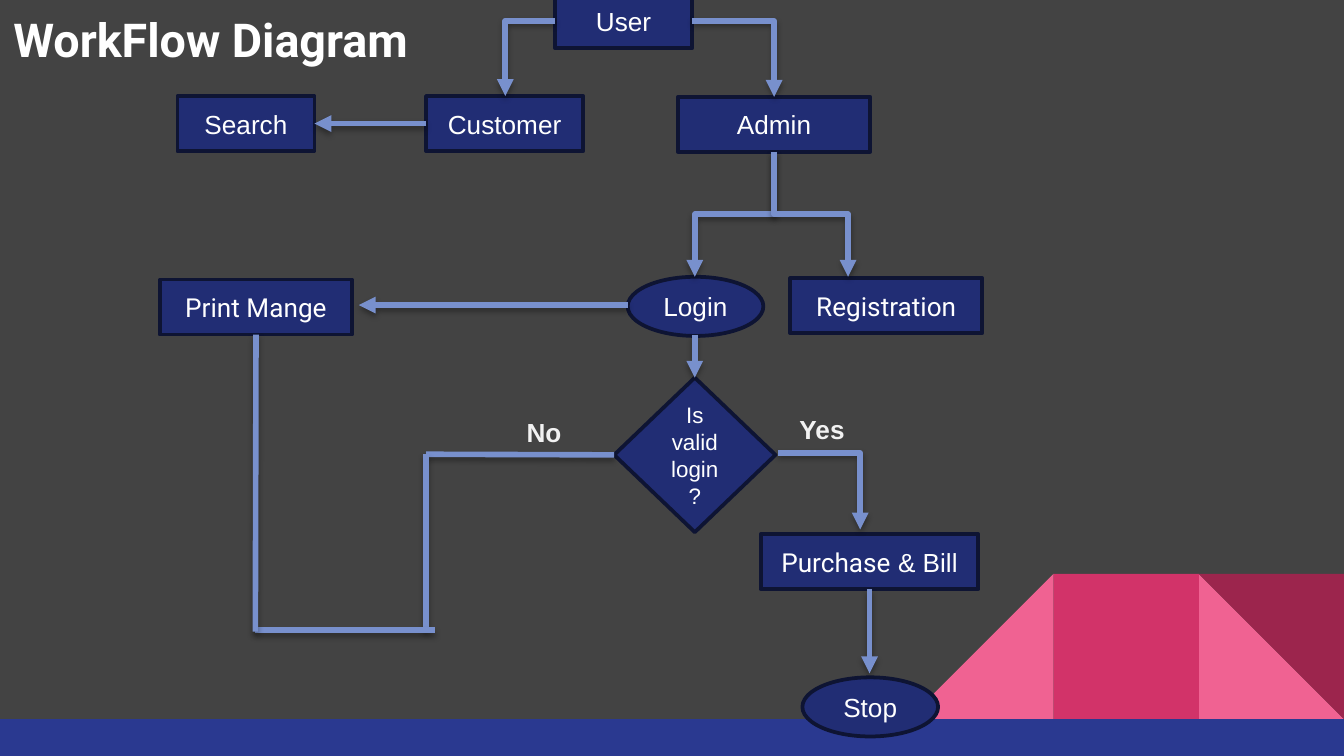
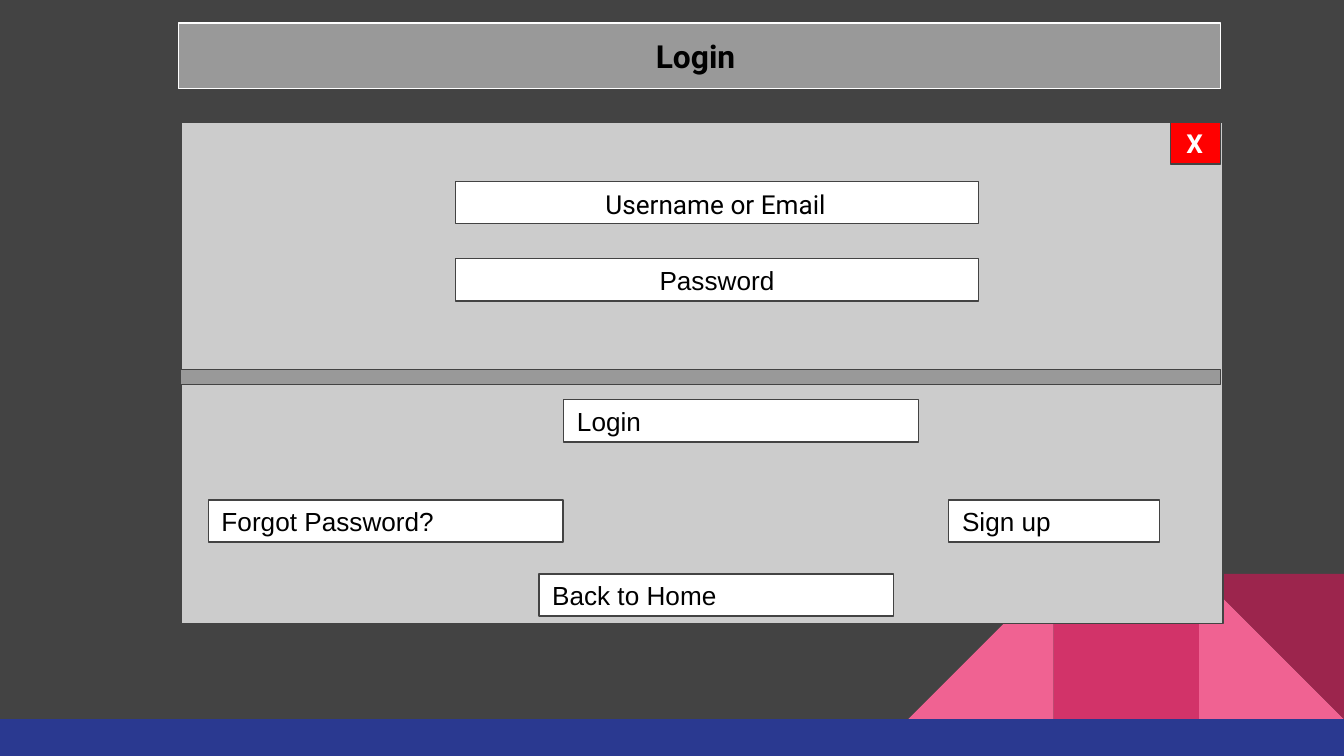
from dataclasses import dataclass

from lxml import etree
from pptx import Presentation
from pptx import util as u
from pptx.dml.color import RGBColor
from pptx.enum import shapes, text
from pptx.oxml.ns import qn

SHAPE = shapes.MSO_SHAPE
ALIGN = text.PP_ALIGN
ANCHOR = text.MSO_ANCHOR
COLUMNS, ROWS = 100, 56.25


@dataclass(frozen=True)
class Theme:
    background: str = "434343"
    band: str = "2A3990"
    pink: str = "F06292"
    rose: str = "D23369"
    wine: str = "9C254D"
    node: str = "212D74"
    node_edge: str = "0E1433"
    flow: str = "7890CD"
    label: str = "F2F2F2"
    white: str = "FFFFFF"
    black: str = "000000"
    panel: str = "CCCCCC"
    bar: str = "999999"
    close: str = "FF0000"
    body_font: str = "Arial"
    title_font: str = "Roboto"
    title_size: int = 25
    heading_size: int = 17
    body_size: int = 14
    small_size: int = 12


class Deck:
    def __init__(self, theme):
        self.theme = theme
        self.presentation = Presentation()
        self.presentation.slide_width = u.Inches(10)
        self.presentation.slide_height = u.Inches(5.625)
        self.slide = None
        fill = self.presentation.slide_master.background.fill
        fill.solid()
        fill.fore_color.rgb = RGBColor.from_string(theme.background)

    def x(self, columns):
        return u.Emu(round(self.presentation.slide_width * columns / COLUMNS))

    def y(self, rows):
        return u.Emu(round(self.presentation.slide_height * rows / ROWS))

    def box(self, left, top, width, height):
        return self.x(left), self.y(top), self.x(width), self.y(height)

    def new_slide(self, title_only=False):
        layout = self.presentation.slide_layouts[5 if title_only else 6]
        self.slide = self.presentation.slides.add_slide(layout)

    def decorate_master(self):
        theme, side, top = self.theme, 10.8, 42.7
        left, middle, right = (COLUMNS - side * n for n in (3, 2, 1))
        parts = [
            self.shape(SHAPE.RIGHT_TRIANGLE, (right, top, side, side), theme.pink),
            self.shape(SHAPE.RIGHT_TRIANGLE, (left, top, side, side), theme.pink),
            self.shape(SHAPE.RECTANGLE, (middle, top, side, side), theme.rose),
            self.shape(SHAPE.RIGHT_TRIANGLE, (right, top, side, side), theme.wine),
            self.shape(SHAPE.RECTANGLE, (0, 53.5, COLUMNS, 2.75), theme.band),
        ]
        parts[1].element.spPr.find(qn("a:xfrm")).set("flipH", "1")
        parts[3].rotation = 180
        for part in parts:
            self.presentation.slide_master.shapes.element.append(part.element)

    def shape(self, kind, box, fill, edge=None, weight=0.75):
        shape = self.slide.shapes.add_shape(kind, *self.box(*box))
        shape.shadow.inherit = False
        shape.fill.solid()
        shape.fill.fore_color.rgb = RGBColor.from_string(fill)
        if edge:
            shape.line.color.rgb = RGBColor.from_string(edge)
            shape.line.width = u.Pt(weight)
        else:
            shape.line.fill.background()
        return shape

    def put_text(self, shape, runs, size, color, align=ALIGN.CENTER,
                 anchor=ANCHOR.MIDDLE, bold=False, inset=None):
        frame = shape.text_frame
        frame.word_wrap = True
        frame.auto_size = text.MSO_AUTO_SIZE.NONE
        frame.vertical_anchor = anchor
        if inset:
            frame.margin_left = frame.margin_right = self.x(inset)
            frame.margin_top = frame.margin_bottom = self.y(inset)
        paragraph = frame.paragraphs[0]
        paragraph.alignment = align
        for words, font in runs:
            run = paragraph.add_run()
            run.text = words
            run.font.name = font
            run.font.size = u.Pt(size)
            run.font.bold = bold
            run.font.color.rgb = RGBColor.from_string(color)

    def title(self, words, box):
        title = self.slide.shapes.title
        title.left, title.top, title.width, title.height = self.box(*box)
        self.put_text(title, [(words, self.theme.title_font)], self.theme.title_size,
                      self.theme.white, ALIGN.LEFT, ANCHOR.TOP, True, 1)

    def label(self, words, box, font=None, color=None, align=ALIGN.LEFT,
              bold=True, inset=None):
        label = self.slide.shapes.add_textbox(*self.box(*box))
        self.put_text(label, [(words, font or self.theme.body_font)],
                      self.theme.body_size, color or self.theme.label,
                      align, ANCHOR.TOP, bold, inset)

    def node(self, runs, box, kind=SHAPE.RECTANGLE, size=None):
        theme = self.theme
        if isinstance(runs, str):
            runs = [(runs, theme.body_font)]
        node = self.shape(kind, box, theme.node, theme.node_edge, 2)
        self.put_text(node, runs, size or theme.body_size, theme.white)
        return node

    def field(self, words, box, align=ALIGN.JUSTIFY):
        field = self.shape(SHAPE.RECTANGLE, box, self.theme.white, self.theme.background)
        if words:
            self.put_text(field, [(words, self.theme.body_font)], self.theme.body_size,
                          self.theme.black, align, inset=1)

    def connector(self, kind, start, end, arrow):
        connector = self.slide.shapes.add_connector(
            kind, self.x(start[0]), self.y(start[1]), self.x(end[0]), self.y(end[1]))
        connector.line.color.rgb = RGBColor.from_string(self.theme.flow)
        connector.line.width = u.Pt(3)
        properties = connector.element.spPr
        if arrow:
            etree.SubElement(properties.find(qn("a:ln")), qn("a:tailEnd"), type="triangle")
        effects = etree.SubElement(properties, qn("a:effectLst"))
        shadow = etree.SubElement(
            effects, qn("a:outerShdw"), blurRad=str(int(u.Pt(3.1))),
            dist=str(int(u.Pt(1.8))), dir="5400000", rotWithShape="0")
        color = etree.SubElement(shadow, qn("a:srgbClr"), val=self.theme.black)
        etree.SubElement(color, qn("a:alpha"), val="35000")
        return connector

    def straight(self, start, end, arrow=True, begin_at=None, end_at=None):
        connector = self.connector(shapes.MSO_CONNECTOR.STRAIGHT, start, end, arrow)
        if begin_at:
            connector.begin_connect(*begin_at)
        if end_at:
            connector.end_connect(*end_at)

    def corner(self, start, end):
        connector = self.connector(shapes.MSO_CONNECTOR.ELBOW, start, end, True)
        connector.element.spPr.find(qn("a:prstGeom")).set("prst", "bentConnector2")

    def branch(self, start, end):
        (x1, y1), (x2, y2) = start, end
        center_x, center_y = (x1 + x2) / 2, (y1 + y2) / 2
        half_run, half_rise = (y2 - y1) / 2, abs(x2 - x1) / 2
        side = 1 if x2 < x1 else -1
        connector = self.connector(
            shapes.MSO_CONNECTOR.ELBOW,
            (center_x - side * half_run, center_y - half_rise),
            (center_x + side * half_run, center_y + half_rise), True)
        turn = 90 if side > 0 else 270
        connector.element.spPr.find(qn("a:xfrm")).set("rot", str(turn * 60000))


def workflow_slide(deck):
    theme = deck.theme
    deck.title("WorkFlow Diagram", (0, -0.2, 36.6, 6.6))

    deck.node("User", (41.3, -0.5, 10.2, 4.1))
    customer = deck.node("Customer", (31.7, 7.15, 11.7, 4.1))
    deck.node("Admin", (50.45, 7.2, 14.3, 4.1))
    search = deck.node("Search", (13.2, 7.15, 10.2, 4.1))
    deck.node("Login", (46.7, 20.6, 10.1, 4.4), SHAPE.OVAL)
    deck.node([("Registration", theme.title_font)], (58.8, 20.7, 14.3, 4.1))
    printing = deck.node([("Print Mange", theme.title_font)], (11.9, 20.8, 14.3, 4.1))
    decision = deck.node("Is valid login ?", (45.7, 28.1, 12, 11.5),
                         SHAPE.DIAMOND, theme.small_size)
    purchase = deck.node([("Purchase", theme.title_font), (" & Bill", theme.body_font)],
                         (56.6, 39.75, 16.2, 4.1))
    deck.node("Stop", (59.7, 50.4, 10.1, 4.4), SHAPE.OVAL)

    deck.corner((41.3, 1.55), (37.6, 7.15))
    deck.corner((51.5, 1.55), (57.6, 7.2))
    deck.corner((57.9, 33.7), (64, 39.4))
    for target in (51.7, 63.1):
        deck.branch((57.6, 11.3), (target, 20.6))

    deck.straight((31.7, 9.2), (23.4, 9.2), begin_at=(customer, 1), end_at=(search, 3))
    deck.straight((51.7, 24.9), (51.7, 28.1), end_at=(decision, 0))
    deck.straight((64.7, 43.9), (64.7, 50.1), begin_at=(purchase, 2))
    deck.straight((46.7, 22.7), (26.7, 22.7))
    deck.straight((31.7, 33.8), (45.7, 33.8), arrow=False, end_at=(decision, 1))
    deck.straight((31.7, 46.9), (31.7, 33.8), arrow=False)
    deck.straight((19, 46.9), (32.4, 46.9), arrow=False)
    deck.straight((19, 24.9), (19, 47), arrow=False, begin_at=(printing, 2))

    deck.label("No", (38.2, 30.5, 7.7, 3.4))
    deck.label("Yes", (58.5, 30.3, 9.9, 3.4))


def login_slide(deck):
    theme = deck.theme
    heading = deck.shape(SHAPE.RECTANGLE, (13.3, 1.7, 77.5, 4.9), theme.bar, theme.white)
    deck.put_text(heading, [("Login ", theme.title_font)], theme.heading_size,
                  theme.black, anchor=ANCHOR.TOP, bold=True, inset=1)
    deck.shape(SHAPE.RECTANGLE, (13.5, 9.1, 77.5, 37.3), theme.panel, theme.background)

    deck.field("", (33.9, 13.5, 38.9, 3.15))
    deck.label("Username or Email", (34.6, 13, 37.3, 4.4), theme.title_font,
               theme.black, ALIGN.CENTER, False, 1)
    deck.field("Password", (33.9, 19.25, 38.9, 3.15), ALIGN.CENTER)
    deck.shape(SHAPE.RECTANGLE, (13.4, 27.5, 77.4, 1.1), theme.bar, theme.background)
    for words, left, top, width in (
        ("Forgot Password?", 15.5, 37.2, 26.4),
        ("Back to Home", 40.1, 42.7, 26.4),
        ("Sign up", 70.6, 37.2, 15.7),
        ("Login", 41.95, 29.75, 26.4),
    ):
        deck.field(words, (left, top, width, 3.15))

    deck.shape(SHAPE.RECTANGLE, (87.1, 9.1, 3.7, 3.1), theme.close, theme.background)
    deck.label("X", (87.3, 8.5, 3.7, 4.4), theme.title_font, theme.white, inset=1)


def main():
    deck = Deck(Theme())
    deck.new_slide(title_only=True)
    deck.decorate_master()
    workflow_slide(deck)
    deck.new_slide()
    login_slide(deck)
    deck.presentation.save("out.pptx")


if __name__ == "__main__":
    main()
